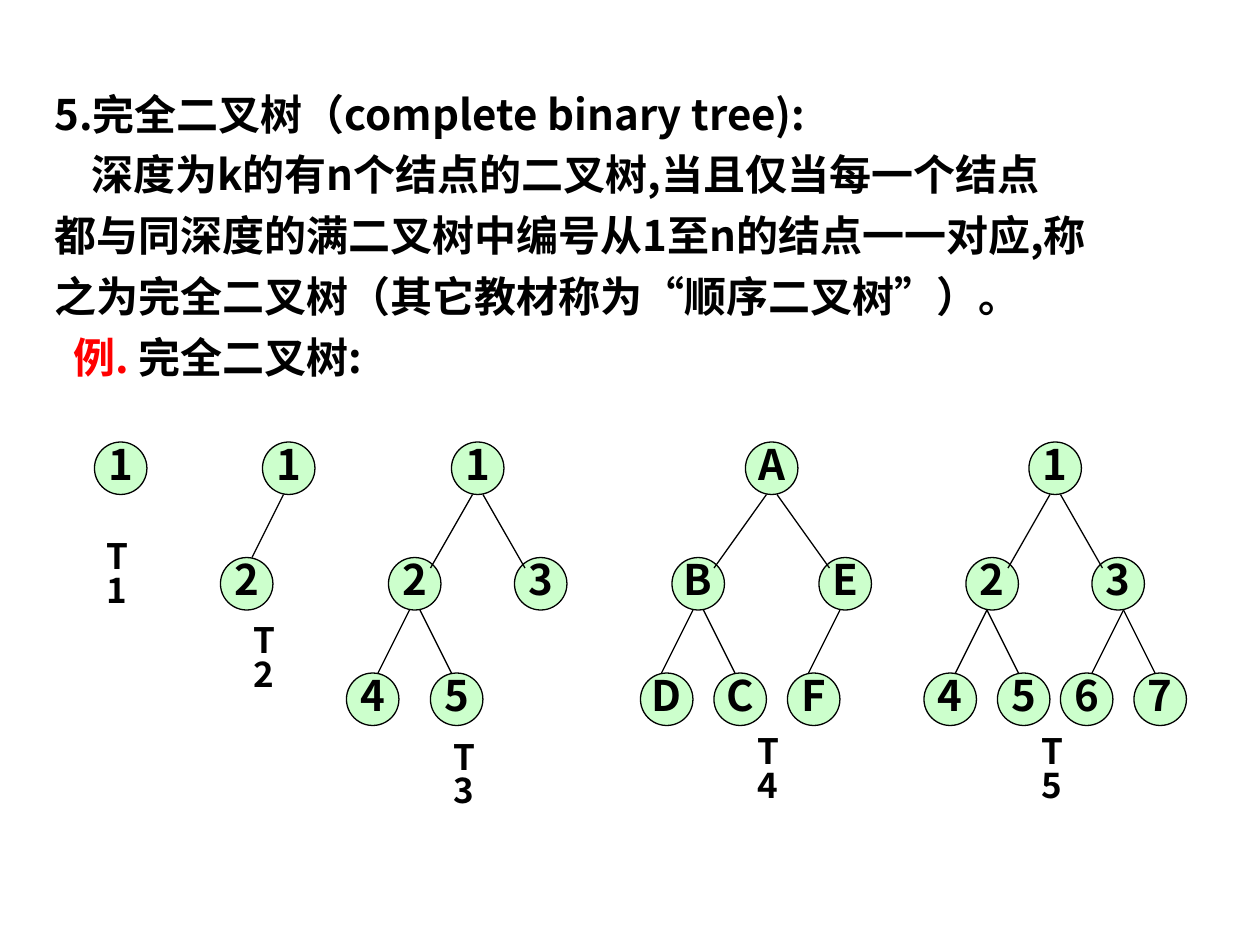
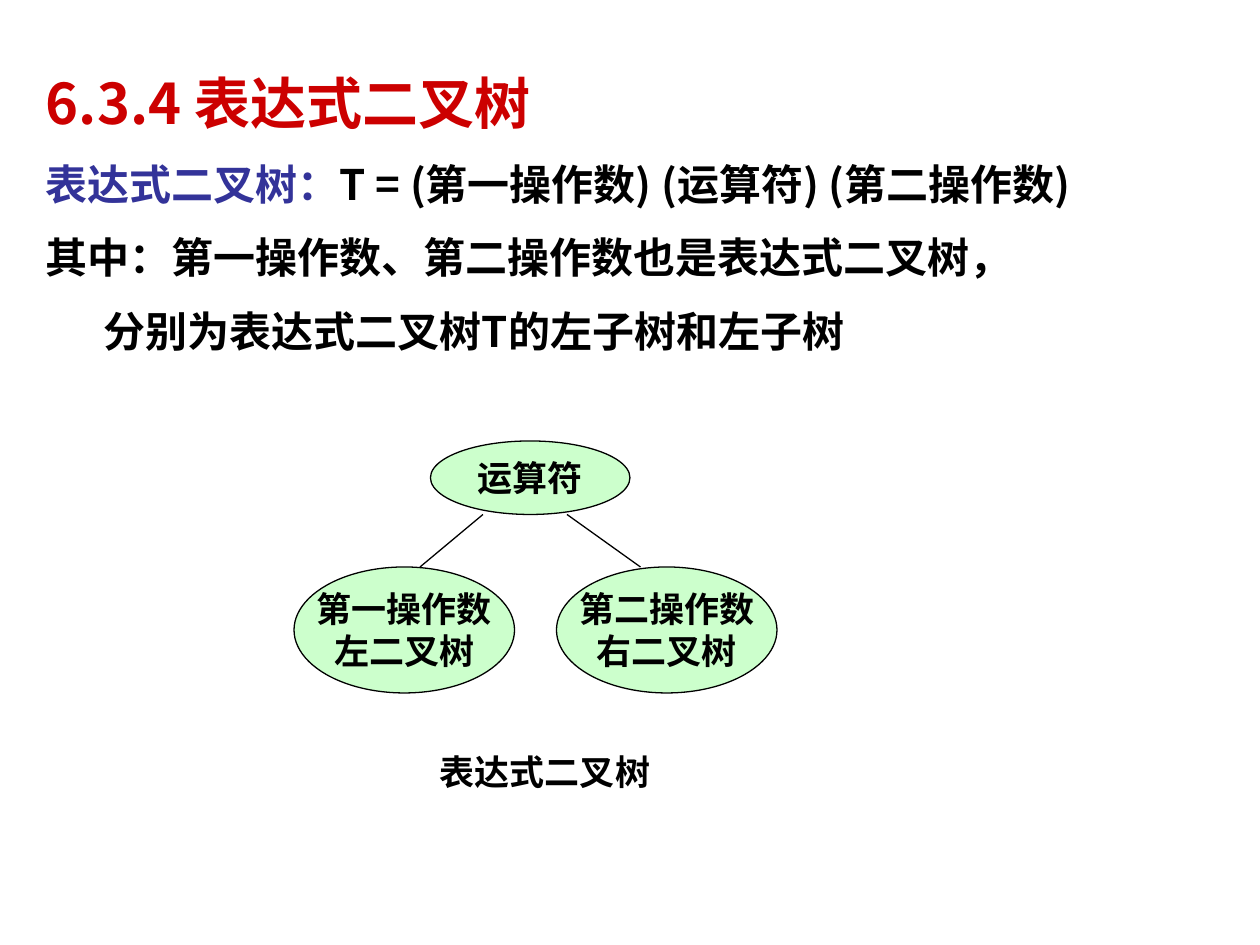
from dataclasses import dataclass
from typing import Optional

from lxml.etree import SubElement
from pptx import Presentation
from pptx.dml.color import RGBColor
from pptx.enum.shapes import MSO_CONNECTOR, MSO_SHAPE
from pptx.enum.text import MSO_ANCHOR, PP_ALIGN
from pptx.oxml.ns import qn
from pptx.slide import Slide
from pptx.text.text import TextFrame
from pptx.util import Cm, Pt

FONT = "Noto Sans CJK SC"
BLACK, RED, DARK_RED, NAVY, MINT = "000000", "FF0000", "CC0000", "333399", "CCFFCC"
UNITS_PER_INCH = 12
NODE_SIZE = 5
TREE_TOP = 42.1
LEVEL_STEP = 11


@dataclass
class Span:
    text: str
    color: str = BLACK


@dataclass
class Line:
    spans: list[Span]
    size: int = 24
    indent: float = 0
    before: float = 6


@dataclass
class Style:
    spacing: float = 1.0
    align: PP_ALIGN = PP_ALIGN.LEFT
    wrap: bool = True


@dataclass
class Box:
    left: float
    top: float
    width: float
    height: float


@dataclass
class Node:
    label: str
    column: float
    level: int = 0
    edge_start: Optional[float] = None
    edge_end: float = 0
    edge_sink: float = 0


@dataclass
class Tree:
    name: str
    name_column: float
    name_top: float
    nodes: list[Node]


@dataclass
class Bubble:
    box: Box
    lines: list[str]


TREES = [
    Tree("T1", 9, 51.1, [Node("1", 9)]),
    Tree("T2", 23, 59.1, [Node("1", 25), Node("2", 21, 1, 27, 24)]),
    Tree("T3", 42, 70.2, [
        Node("1", 43),
        Node("2", 37, 1, 45, 41, 1), Node("3", 49, 1, 46, 50, 1),
        Node("4", 33, 2, 39, 36), Node("5", 41, 2, 40, 43),
    ]),
    Tree("T4", 71, 69.7, [
        Node("A", 71),
        Node("B", 64, 1, 73, 68, 1), Node("E", 78, 1, 74, 79, 1),
        Node("D", 61, 2, 66, 63), Node("C", 68, 2, 67, 70),
        Node("F", 75, 2, 80, 77),
    ]),
    Tree("T5", 98, 69.7, [
        Node("1", 98),
        Node("2", 92, 1, 100, 96, 1), Node("3", 104, 1, 101, 105, 1),
        Node("4", 88, 2, 94, 91), Node("5", 95, 2, 94, 97),
        Node("6", 101, 2, 107, 104), Node("7", 108, 2, 107, 110),
    ]),
]

COMPLETE_TREE_TEXT = [
    Line([Span("5.完全二叉树（complete binary tree):")]),
    Line([Span("深度为k的有n个结点的二叉树,当且仅当每一个结点")], indent=0.75),
    Line([Span("都与同深度的满二叉树中编号从1至n的结点一一对应,称")]),
    Line([Span("之为完全二叉树（其它教材称为“顺序二叉树”）。")]),
    Line([Span("例. ", RED), Span("完全二叉树:")], indent=0.38),
]

EXPRESSION_TREE_TEXT = [
    Line([Span("6.3.4 表达式二叉树", DARK_RED)], size=32),
    Line([Span("表达式二叉树：", NAVY), Span("T = (第一操作数) (运算符) (第二操作数)")]),
    Line([Span("其中：第一操作数、第二操作数也是表达式二叉树，")]),
    Line([Span("分别为表达式二叉树T的左子树和左子树")], indent=1.17),
]

OPERATOR = Bubble(Box(41, 42, 19, 7), ["运算符"])
OPERANDS = [
    Bubble(Box(28, 54, 21, 12), ["第一操作数", "左二叉树"]),
    Bubble(Box(53, 54, 21, 12), ["第二操作数", "右二叉树"]),
]
OPERAND_EDGES = [(46, 40), (54, 61)]


def grid(units: float) -> Cm:
    return Cm(units * 2.54 / UNITS_PER_INCH)


def rgb(color: str) -> RGBColor:
    return RGBColor.from_string(color)


def place(box: Box) -> tuple[Cm, Cm, Cm, Cm]:
    return grid(box.left), grid(box.top), grid(box.width), grid(box.height)


def write(frame: TextFrame, lines: list[Line], style: Style) -> None:
    frame.word_wrap = style.wrap
    for index, line in enumerate(lines):
        para = frame.add_paragraph() if index else frame.paragraphs[0]
        para.alignment = style.align
        para.line_spacing = style.spacing
        para.space_before = Pt(line.before if index else 0)
        properties = para._p.get_or_add_pPr()
        properties.set("marL", str(Cm(line.indent)))
        properties.set("indent", "0")
        para.font.name = FONT
        para.font.size = Pt(line.size)
        para.font.bold = True
        para.font.color.rgb = rgb(line.spans[0].color)
        SubElement(properties.find(qn("a:defRPr")), qn("a:ea"), typeface=FONT)
        for span in line.spans:
            run = para.add_run()
            run.text = span.text
            if len(line.spans) > 1:
                run.font.color.rgb = rgb(span.color)


def add_text(page: Slide, box: Box, lines: list[Line], style: Style) -> None:
    write(page.shapes.add_textbox(*place(box)).text_frame, lines, style)


def add_ellipse(page: Slide, box: Box, lines: list[Line], spacing: float = 1.0) -> None:
    ellipse = page.shapes.add_shape(MSO_SHAPE.OVAL, *place(box))
    ellipse.shadow.inherit = False
    ellipse.fill.solid()
    ellipse.fill.fore_color.rgb = rgb(MINT)
    ellipse.line.color.rgb = rgb(BLACK)
    ellipse.line.width = Pt(0.75)
    ellipse.text_frame.vertical_anchor = MSO_ANCHOR.MIDDLE
    write(ellipse.text_frame, lines, Style(spacing, PP_ALIGN.CENTER, wrap=False))


def add_edge(page: Slide, x1: float, y1: float, x2: float, y2: float) -> None:
    edge = page.shapes.add_connector(
        MSO_CONNECTOR.STRAIGHT, grid(x1), grid(y1), grid(x2), grid(y2)
    )
    edge.line.color.rgb = rgb(BLACK)
    edge.line.width = Pt(0.75)
    SubElement(edge._element.spPr, qn("a:effectLst"))


def add_tree(page: Slide, tree: Tree) -> None:
    for node in tree.nodes:
        top = TREE_TOP + node.level * LEVEL_STEP
        box = Box(node.column, top, NODE_SIZE, NODE_SIZE)
        add_ellipse(page, box, [Line([Span(node.label)])], 0.8)
        if node.edge_start is not None:
            parent_bottom = top - LEVEL_STEP + NODE_SIZE
            add_edge(page, node.edge_start, parent_bottom,
                     node.edge_end, top + node.edge_sink)
    name_box = Box(tree.name_column, tree.name_top, 6, 7.7)
    add_text(page, name_box, [Line([Span(tree.name)], size=20)], Style(0.8))


def add_bubble(page: Slide, bubble: Bubble) -> None:
    lines = [Line([Span(text)], size=20, before=0) for text in bubble.lines]
    add_ellipse(page, bubble.box, lines)


def build_complete_tree_page(page: Slide) -> None:
    add_text(page, Box(4, 7.8, 111.1, 36.2), COMPLETE_TREE_TEXT, Style())
    for tree in TREES:
        add_tree(page, tree)


def build_expression_tree_page(page: Slide) -> None:
    add_text(page, Box(3.2, 4.3, 109, 35), EXPRESSION_TREE_TEXT, Style(1.25))
    add_bubble(page, OPERATOR)
    operator_bottom = OPERATOR.box.top + OPERATOR.box.height
    for operand, (start, end) in zip(OPERANDS, OPERAND_EDGES):
        add_bubble(page, operand)
        add_edge(page, start, operator_bottom, end, operand.box.top)
    caption = [Line([Span("表达式二叉树")], size=20)]
    add_text(page, Box(40.7, 70.9, 22.4, 5.3), caption, Style(wrap=False))


def main() -> None:
    deck = Presentation()
    deck.slide_width, deck.slide_height = Cm(25.4), Cm(19.05)
    for build in (build_complete_tree_page, build_expression_tree_page):
        build(deck.slides.add_slide(deck.slide_layouts[6]))
    deck.save("out.pptx")


if __name__ == "__main__":
    main()
